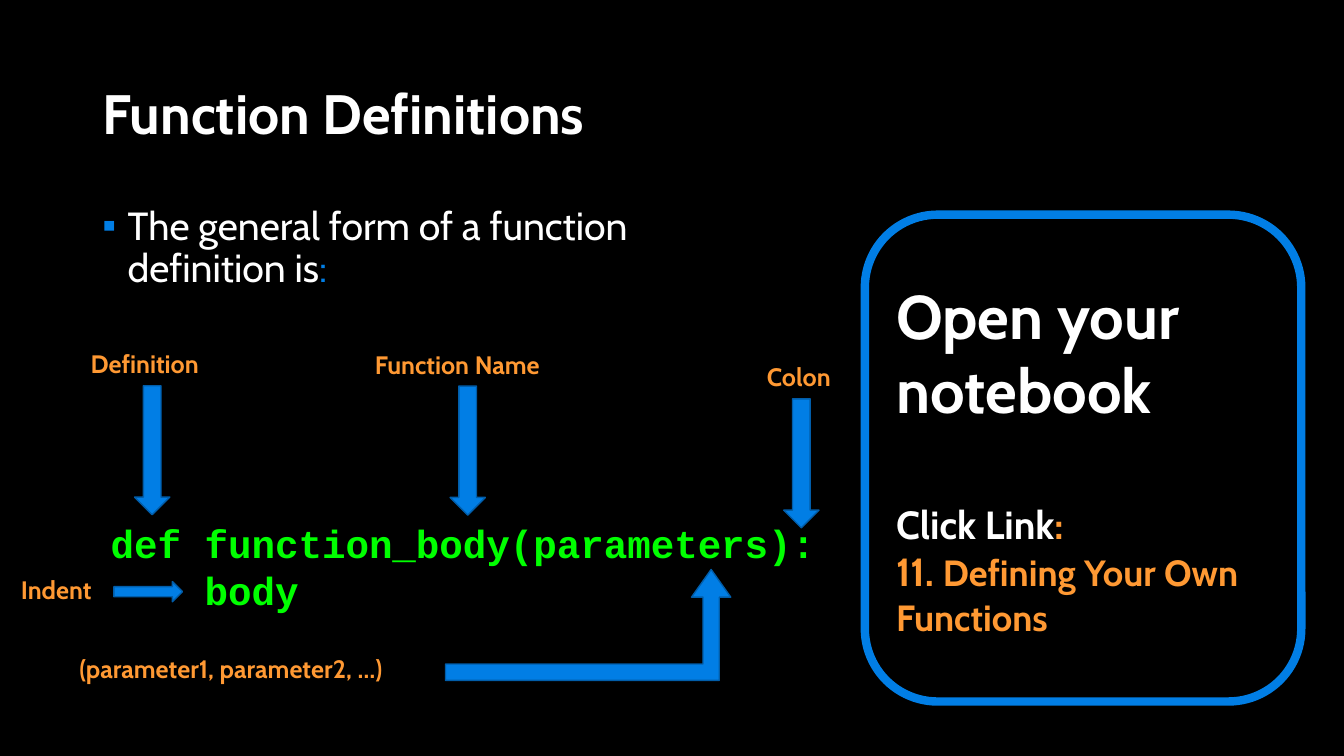
from dataclasses import dataclass

from lxml import etree
from pptx import Presentation
from pptx.dml.color import RGBColor
from pptx.enum.shapes import MSO_SHAPE
from pptx.enum.text import MSO_ANCHOR, MSO_AUTO_SIZE, PP_ALIGN
from pptx.oxml.ns import qn
from pptx.util import Emu, Inches, Pt

DOWN, RIGHT, BENT_UP = MSO_SHAPE.DOWN_ARROW, MSO_SHAPE.RIGHT_ARROW, MSO_SHAPE.BENT_UP_ARROW
ROUNDED = MSO_SHAPE.ROUNDED_RECTANGLE
LEFT, MIDDLE = PP_ALIGN.LEFT, MSO_ANCHOR.MIDDLE
FIXED, GROW = MSO_AUTO_SIZE.NONE, MSO_AUTO_SIZE.SHAPE_TO_FIT_TEXT

BLACK, WHITE, BLUE, NAVY = "000000", "FFFFFF", "017EE5", "015DA9"
ORANGE, GREEN = "FF9933", "00FF00"

# Grid of square cells
COLUMNS, ROWS = 160, 90
SLIDE_WIDTH, SLIDE_HEIGHT = Inches(13.333), Inches(7.5)
LABEL_HEIGHT, LABEL_TO_ARROW = 4.8, 5
ARROW_WIDTH, ARROW_HEIGHT = 4.2, 15.36


@dataclass(frozen=True)
class Area:
    column: float
    row: float
    columns: float
    rows: float

    def box(self) -> tuple[Emu, Emu, Emu, Emu]:
        return (Emu(round(self.column * SLIDE_WIDTH / COLUMNS)),
                Emu(round(self.row * SLIDE_HEIGHT / ROWS)),
                Emu(round(self.columns * SLIDE_WIDTH / COLUMNS)),
                Emu(round(self.rows * SLIDE_HEIGHT / ROWS)))


@dataclass(frozen=True)
class Label:
    text: str
    column: float
    row: float
    columns: float
    arrow_center: float | None = None


@dataclass(frozen=True)
class Arrow:
    preset: MSO_SHAPE
    area: Area
    adjustments: tuple[float, ...] = ()


LABELS = [
    Label("Indent", 1.32, 67.8, 11.76),
    Label("Colon", 90.12, 42.48, 10.68, arrow_center=95.4),
    Label("Definition", 9.6, 40.92, 16.68, arrow_center=18.12),
    Label("(parameter1, parameter2, …)", 8.28, 77.16, 43.68),
    Label("Function Name", 43.44, 40.96, 24.96, arrow_center=55.68),
]
ARROWS = [
    Arrow(RIGHT, Area(13.56, 69.24, 8.16, 2.4)),
    Arrow(BENT_UP, Area(53.04, 67.8, 33.96, 13.2), (0.147, 0.177, 0.25)),
] + [
    Arrow(DOWN, Area(label.arrow_center - ARROW_WIDTH / 2, label.row + LABEL_TO_ARROW,
                     ARROW_WIDTH, ARROW_HEIGHT))
    for label in LABELS if label.arrow_center is not None
]


def color(hex_code: str) -> RGBColor:
    return RGBColor.from_string(hex_code)


def add_text(paragraph, text: str, *, size: float, fill: str = WHITE,
             bold: bool = False, font: str = "Cabin") -> None:
    run = paragraph.add_run()
    run.text = text
    run.font.name, run.font.size, run.font.bold = font, Pt(size), bold
    run.font.color.rgb = color(fill)


def place(shape, area: Area) -> None:
    shape.left, shape.top, shape.width, shape.height = area.box()


def add_free_text(slide, area: Area, lines: list[str], **text_format) -> None:
    frame = slide.shapes.add_textbox(*area.box()).text_frame
    frame.word_wrap, frame.auto_size = False, GROW
    for index, line in enumerate(lines):
        paragraph = frame.add_paragraph() if index else frame.paragraphs[0]
        add_text(paragraph, line, **text_format)


def add_outlined(slide, preset: MSO_SHAPE, area: Area, line: str, width: float):
    shape = slide.shapes.add_shape(preset, *area.box())
    shape.shadow.inherit = False
    shape.line.color.rgb, shape.line.width = color(line), Pt(width)
    return shape


def add_arrow(slide, arrow: Arrow) -> None:
    shape = add_outlined(slide, arrow.preset, arrow.area, NAVY, 1)
    shape.fill.solid()
    shape.fill.fore_color.rgb = color(BLUE)
    for index, value in enumerate(arrow.adjustments):
        shape.adjustments[index] = value


def set_bullet(paragraph, char: str, fill: str, indent: float) -> None:
    properties = paragraph._p.get_or_add_pPr()
    properties.set("marL", str(Inches(indent)))
    properties.set("indent", str(-Inches(indent)))
    bullet_color = etree.SubElement(properties, qn("a:buClr"))
    etree.SubElement(bullet_color, qn("a:srgbClr"), val=fill)
    etree.SubElement(properties, qn("a:buChar"), char=char)


def add_heading(slide) -> None:
    title = slide.shapes.title
    place(title, Area(11, 9.6, 138, 8.64))
    frame = title.text_frame
    frame.auto_size, frame.vertical_anchor = FIXED, MIDDLE
    paragraph = frame.paragraphs[0]
    paragraph.alignment, paragraph.line_spacing = LEFT, 0.9
    add_text(paragraph, "Function Definitions", size=39.6, bold=True)


def add_body(slide) -> None:
    body = slide.placeholders[1]
    place(body, Area(11, 24, 69, 63.48))
    body.text_frame.auto_size = FIXED
    paragraph = body.text_frame.paragraphs[0]
    set_bullet(paragraph, "▪", BLUE, 0.25)
    paragraph.line_spacing, paragraph.space_before = 0.9, Pt(0)
    add_text(paragraph, "The general form of a function definition is", size=28)
    add_text(paragraph, ":", size=28, fill=BLUE)


def add_notebook_card(slide) -> None:
    card = add_outlined(slide, ROUNDED, Area(102.96, 25.56, 51.96, 57.96), BLUE, 6)
    card.fill.background()
    frame = card.text_frame
    frame.word_wrap, frame.vertical_anchor = True, MIDDLE
    call, prompt, link = frame.paragraphs[0], frame.add_paragraph(), frame.add_paragraph()
    for paragraph in (call, prompt, link):
        paragraph.alignment = LEFT
    add_text(call, "Open your notebook", size=44, bold=True)
    prompt.space_before = Pt(53.5)
    add_text(prompt, "Click Link", size=28, bold=True)
    add_text(prompt, ":", size=28, fill=ORANGE, bold=True)
    add_text(link, "11. ", size=28, fill=ORANGE, bold=True)
    add_text(link, "Defining Your Own Functions", size=26, fill=ORANGE, bold=True)


def main() -> None:
    deck = Presentation()
    deck.slide_width, deck.slide_height = SLIDE_WIDTH, SLIDE_HEIGHT
    slide = deck.slides.add_slide(deck.slide_layouts[1])
    slide.background.fill.solid()
    slide.background.fill.fore_color.rgb = color(BLACK)

    # Heading and introduction
    add_heading(slide)
    add_body(slide)

    # Code sample with its annotations
    add_free_text(slide, Area(12, 61.2, 87, 12.48),
                  ["def function_body(parameters):", "    body"],
                  size=28, fill=GREEN, bold=True, font="Courier New")
    for label in LABELS:
        area = Area(label.column, label.row, label.columns, LABEL_HEIGHT)
        add_free_text(slide, area, [label.text], size=18, fill=ORANGE, bold=True)
    for arrow in ARROWS:
        add_arrow(slide, arrow)

    # Notebook card
    add_notebook_card(slide)
    deck.save("out.pptx")


if __name__ == "__main__":
    main()
